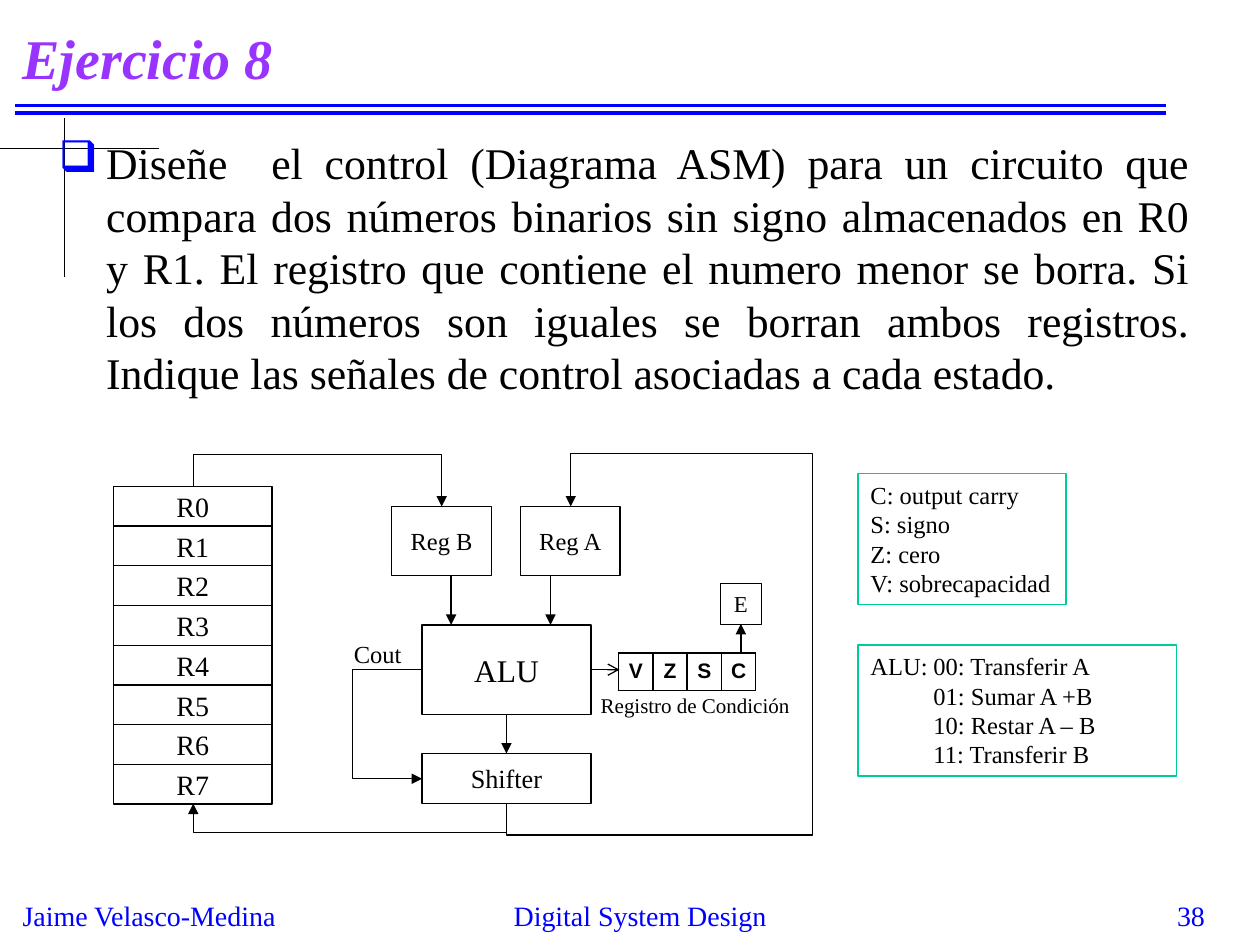
"""Build the slide for exercise 8: comparing two registers with an ALU datapath."""
from lxml import etree
from pptx import Presentation
from pptx.dml.color import RGBColor
from pptx.enum import shapes, text
from pptx.oxml import ns
from pptx.util import Pt

BLACK, BLUE, PURPLE, GREEN, WHITE = "000000", "0000FF", "9933FF", "00CC99", "FFFFFF"
SERIF = "Times New Roman"
CENTER, RIGHT = text.PP_ALIGN.CENTER, text.PP_ALIGN.RIGHT

TITLE = "Ejercicio 8"
STATEMENT = (
    "Diseñe  el control (Diagrama ASM) para un circuito que compara dos números "
    "binarios sin signo almacenados en R0 y R1. El registro que contiene el numero "
    "menor se borra. Si los dos números son iguales se borran ambos registros. "
    "Indique las señales de control asociadas a cada estado."
)
FLAGS = ["V", "Z", "S", "C"]
FLAG_LEGEND = ["C: output carry", "S: signo", "Z: cero", "V: sobrecapacidad"]
ALU_LEGEND = ["ALU:\t00: Transferir A", "\t01: Sumar A +B",
              "\t10: Restar A – B", "\t11: Transferir B"]

REGISTERS, REGISTER_LEFT, REGISTER_TOP = 8, 64.8, 277.9
REGISTER_WIDTH, REGISTER_HEIGHT = 90.7, 22.7
BLOCKS = [
    ("ALU", (241.2, 357.1, 96.5, 51.1), 18),
    ("Shifter", (241.2, 430.6, 96.5, 28.4), 15),
    ("Reg B", (223.9, 289.4, 56.9, 39.6), 14),
    ("Reg A", (297.4, 289.4, 56.9, 39.6), 14),
]
RULES = [
    ((8.6, 60.3), (666, 60.3), BLUE, 2.25),
    ((8.6, 64.6), (666, 64.6), BLUE, 2.25),
    ((0, 84.8), (90.7, 84.8), BLACK, 0.75),
    ((36.8, 67.7), (36.8, 158.4), BLACK, 0.75),
]
ARROWS = [
    ((289.4, 408.2), (289.4, 430.6), "triangle"),
    ((257.8, 329), (257.8, 357.1), "triangle"),
    ((314.6, 329), (314.6, 357.1), "triangle"),
    ((337.5, 382.7), (354, 382.7), "arrow"),
    ((423.4, 373.7), (423.4, 356.5), "triangle"),
]
ROUTES = [
    [(289.4, 459.2), (289.4, 477.2), (464.4, 477.2), (464.4, 259.2),
     (326.2, 259.2), (326.2, 289.4)],
    [(289.4, 459.2), (289.4, 475.6), (110.4, 475.6), (110.4, 459.2)],
    [(110.4, 277.9), (110.4, 259.9), (252.4, 259.9), (252.4, 289.4)],
    [(241.2, 382.5), (201.5, 382.5), (201.5, 445), (241.2, 445)],
]


def color(code):
    return RGBColor.from_string(code)


def add_xml(parent, tag, **attributes):
    return etree.SubElement(parent, ns.qn(tag), attributes)


def write(frame, lines, size=14, ink=BLACK, font=SERIF, bold=False, italic=False,
          align=None, anchor=text.MSO_ANCHOR.TOP, wrap=True, bullet=None):
    frame.word_wrap = wrap
    frame.vertical_anchor = anchor
    for number, line in enumerate(lines):
        para = frame.add_paragraph() if number else frame.paragraphs[0]
        para.alignment = align or text.PP_ALIGN.LEFT
        if bullet:
            props = para._p.get_or_add_pPr()
            props.set("marL", str(Pt(27)))
            props.set("indent", str(Pt(-27)))
            add_xml(add_xml(props, "a:buClr"), "a:srgbClr", val=BLUE)
            add_xml(props, "a:buChar", char=bullet)
        span = para.add_run()
        span.text = line
        span.font.name, span.font.size = font, Pt(size)
        span.font.bold, span.font.italic = bold, italic
        span.font.color.rgb = color(ink)


def add_text(page, place, lines, **style):
    box = page.shapes.add_textbox(*map(Pt, place))
    write(box.text_frame, lines, **style)


def add_box(page, place, lines, edge=BLACK, weight=0.75, fill=None, **style):
    box = page.shapes.add_shape(shapes.MSO_SHAPE.RECTANGLE, *map(Pt, place))
    box.shadow.inherit = False
    if fill:
        box.fill.solid()
        box.fill.fore_color.rgb = color(fill)
    else:
        box.fill.background()
    box.line.color.rgb, box.line.width = color(edge), Pt(weight)
    write(box.text_frame, lines, **style)


def style_line(line, ink=BLACK, weight=0.75, head=None):
    line.color.rgb, line.width = color(ink), Pt(weight)
    if head:
        add_xml(line._get_or_add_ln(), "a:tailEnd", type=head)


def add_line(page, start, end, **style):
    line = page.shapes.add_connector(
        shapes.MSO_CONNECTOR.STRAIGHT, *map(Pt, (*start, *end)))
    style_line(line.line, **style)
    add_xml(line._element.spPr, "a:effectLst")


def add_route(page, points):
    corners = [(Pt(x), Pt(y)) for x, y in points]
    builder = page.shapes.build_freeform(*corners[0])
    builder.add_line_segments(corners[1:], close=False)
    route = builder.convert_to_shape()
    route.fill.background()
    style_line(route.line, head="triangle")
    route.shadow.inherit = False


def add_flags(page):
    table = page.shapes.add_table(
        1, len(FLAGS), Pt(353.5), Pt(373), Pt(78.4), Pt(21.6)).table
    table.first_row = table.horz_banding = False
    for cell, flag in zip(table.iter_cells(), FLAGS):
        cell.margin_left = cell.margin_right = 0
        write(cell.text_frame, [flag], size=12, font="Arial", bold=True, align=CENTER)
        props = cell._tc.get_or_add_tcPr()
        for side in ("a:lnL", "a:lnR", "a:lnT", "a:lnB"):
            border = add_xml(props, side, w=str(Pt(1)))
            add_xml(add_xml(border, "a:solidFill"), "a:srgbClr", val=BLACK)
        cell.fill.background()


def main():
    deck = Presentation()
    deck.slide_width, deck.slide_height = Pt(720), Pt(540)
    page = deck.slides.add_slide(deck.slide_layouts[6])
    middle = text.MSO_ANCHOR.MIDDLE

    for start, end, ink, weight in RULES:
        add_line(page, start, end, ink=ink, weight=weight)
    add_text(page, (5.8, 509.8, 162, 26.6), ["Jaime Velasco-Medina"],
             size=16, ink=BLUE, wrap=False)
    add_text(page, (239.8, 509.8, 252, 23.8), ["Digital System Design"],
             size=16, ink=BLUE, align=CENTER)
    add_text(page, (545.8, 509.8, 149.8, 18), ["38"], size=16, ink=BLUE, align=RIGHT)
    add_text(page, (5.8, 5.8, 660, 54), [TITLE], size=32, ink=PURPLE,
             bold=True, italic=True, anchor=middle)
    add_text(page, (26.6, 74.2, 660, 177.8), [STATEMENT], size=25,
             align=text.PP_ALIGN.JUSTIFY, bullet="❑")

    registers = [
        (f"R{n}", (REGISTER_LEFT, REGISTER_TOP + n * REGISTER_HEIGHT,
                   REGISTER_WIDTH, REGISTER_HEIGHT), 16)
        for n in range(REGISTERS)
    ]
    for label, place, size in BLOCKS + registers:
        add_box(page, place, [label], size=size, align=CENTER, anchor=middle, wrap=False)
    for points in ROUTES:
        add_route(page, points)
    add_text(page, (195.1, 361.4, 44.6, 24.5), ["Cout"], wrap=False)
    add_flags(page)
    add_text(page, (336.2, 392.4, 131, 21.6), ["Registro de Condición"], size=12)
    add_box(page, (490.3, 270.7, 118.8, 74.9), FLAG_LEGEND, edge=GREEN, wrap=False)
    add_box(page, (490.3, 368.6, 182.2, 74.9), ALU_LEGEND, edge=GREEN)
    add_box(page, (411.8, 333.4, 23.1, 23.1), ["E"], weight=0.25, fill=WHITE,
            size=13, align=CENTER, anchor=middle)
    for start, end, head in ARROWS:
        add_line(page, start, end, head=head)
    deck.save("out.pptx")


if __name__ == "__main__":
    main()
